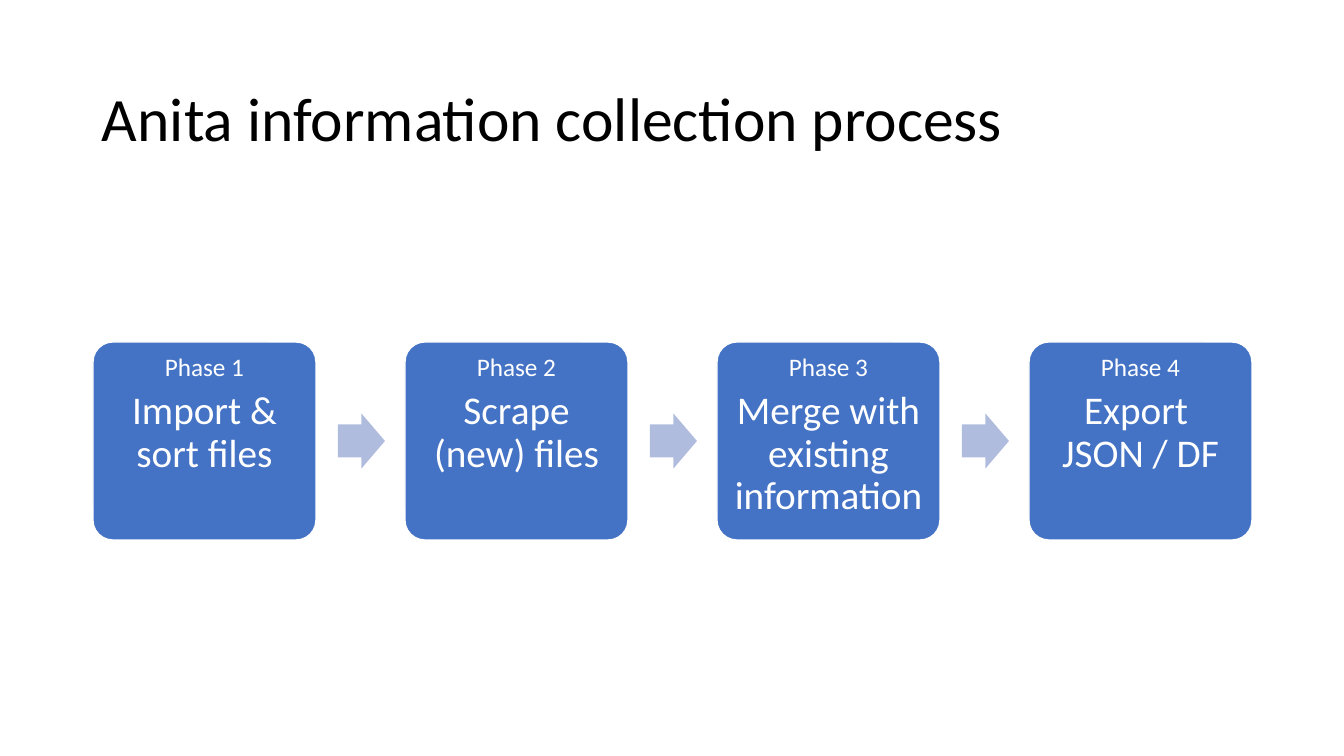
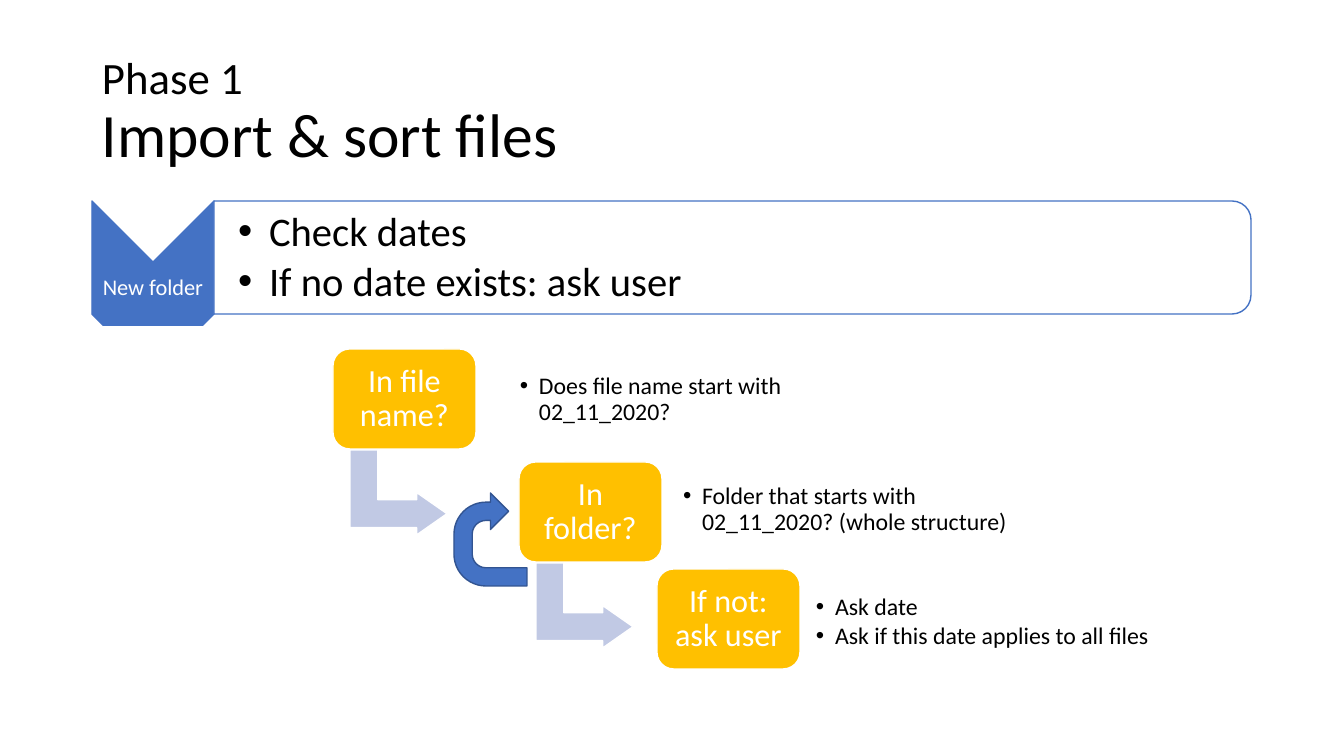
import itertools

import pptx
import pptx.dml.color
import pptx.enum.shapes
import pptx.enum.text
import pptx.oxml.ns
import pptx.util
from lxml import etree

RGBColor = pptx.dml.color.RGBColor
SHAPES = pptx.enum.shapes.MSO_SHAPE
ANCHOR = pptx.enum.text.MSO_ANCHOR
ALIGN = pptx.enum.text.PP_ALIGN

EMU_PER_PIXEL = 914400 / 100.8
FONT = "Calibri"
BLACK = RGBColor(0x00, 0x00, 0x00)
WHITE = RGBColor(0xFF, 0xFF, 0xFF)
BLUE = RGBColor(0x44, 0x72, 0xC4)
DARK_BLUE = RGBColor(0x32, 0x54, 0x91)
ARROW_BLUE = RGBColor(0xB0, 0xBC, 0xDE)
PALE_BLUE = RGBColor(0xC1, 0xC9, 0xE4)
YELLOW = RGBColor(0xFF, 0xC0, 0x00)

PHASES = ["Import & sort files", "Scrape (new) files",
          "Merge with existing information", "Export \vJSON / DF"]
STEPS = [
    ("In file name?", (333, 349), (511, 360, 385, 80), 9,
     ["Does file name start with 02_11_2020?"]),
    ("In folder?", (519, 462), (674, 470, 351, 80), 9,
     ["Folder that starts with 02_11_2020? (whole structure)"]),
    ("If not: ask user", (657, 569), (809, 582, 425, 80), 7,
     ["Ask date", "Ask if this date applies to all files"]),
]


def px(pixels):
    """Turn pixels into EMU."""
    return pptx.util.Emu(round(pixels * EMU_PER_PIXEL))


def write_text(shape, paragraphs, color=BLACK, align=ALIGN.LEFT, anchor=ANCHOR.MIDDLE,
               insets=(10, 5, 10, 5), spacing=0, bullet_indent=0):
    """Write (text, size, ...) paragraphs; several sizes apply line by line."""
    frame = shape.text_frame
    frame.word_wrap = True
    frame.vertical_anchor = anchor
    frame.margin_left, frame.margin_top, frame.margin_right, frame.margin_bottom = map(px, insets)
    for index, (text, *sizes) in enumerate(paragraphs):
        paragraph = frame.add_paragraph() if index else frame.paragraphs[0]
        paragraph.text = text
        paragraph.alignment = align
        paragraph.line_spacing = 0.9
        paragraph.space_after = pptx.util.Pt(round(sizes[0] * spacing, 1))
        for run, size in zip(paragraph.runs, itertools.cycle(sizes)):
            run.font.name = FONT
            run.font.size = pptx.util.Pt(size)
            run.font.color.rgb = color
        if bullet_indent:
            add_bullet(paragraph, bullet_indent)


def add_bullet(paragraph, indent):
    """Give a paragraph a round bullet with a hanging indent."""
    properties = paragraph._p.get_or_add_pPr()
    properties.set("marL", str(px(indent)))
    properties.set("indent", str(-px(indent)))
    font = etree.SubElement(properties, pptx.oxml.ns.qn("a:buFont"))
    font.set("typeface", "Arial")
    bullet = etree.SubElement(properties, pptx.oxml.ns.qn("a:buChar"))
    bullet.set("char", "•")


def add_text(slide, box, paragraphs, **text_format):
    """Add a text box in the given box."""
    write_text(slide.shapes.add_textbox(*map(px, box)), paragraphs, **text_format)


def add_shape(slide, kind, box, fill, line=None, rotation=0, adjustments=()):
    """Add a preset shape that covers the box once it is turned."""
    left, top, width, height = box
    if rotation in (90, 270):
        left, top = left + (width - height) / 2, top + (height - width) / 2
        width, height = height, width
    shape = slide.shapes.add_shape(kind, px(left), px(top), px(width), px(height))
    shape.shadow.inherit = False
    shape.rotation = rotation
    shape.fill.solid()
    shape.fill.fore_color.rgb = fill
    if line is None:
        shape.line.fill.background()
    else:
        shape.line.color.rgb = line
        shape.line.width = pptx.util.Pt(1)
    for index, value in enumerate(adjustments):
        shape.adjustments[index] = value
    return shape


def add_title(slide, top, text, *sizes):
    """Add the slide title at the given height."""
    add_text(slide, (92, top, 1159, 146), [(text, *sizes)])


def add_phase_row(slide, box):
    """Spread the phase cards over the box, with arrows between them."""
    left, top, width, height = box
    card_width = 223
    pitch = (width - card_width) / (len(PHASES) - 1)
    for index, name in enumerate(PHASES):
        card_left = left + index * pitch
        if index:
            add_shape(slide, SHAPES.RIGHT_ARROW,
                      (card_left - 67, top + (height - 55) / 2, 47, 55),
                      ARROW_BLUE, adjustments=(0.6, 0.5))
        card = add_shape(slide, SHAPES.ROUNDED_RECTANGLE, (card_left, top, card_width, height),
                         BLUE, WHITE, adjustments=(0.1,))
        write_text(card, [(f"Phase {index + 1}", 18), (name, 28)], color=WHITE,
                   align=ALIGN.CENTER, anchor=ANCHOR.TOP, insets=(7,) * 4, spacing=0.35)


def add_folder_band(slide, box):
    """Add the folder chevron and the outlined list to its right."""
    left, top, width, height = box
    tab = 122
    add_shape(slide, SHAPES.CHEVRON, (left, top, tab, 174), BLUE, BLUE, rotation=90)
    add_text(slide, (left, top + 61, tab, 52), [("New folder", 16)], color=WHITE,
             align=ALIGN.CENTER, insets=(1,) * 4, spacing=0.35)
    add_shape(slide, SHAPES.ROUND_2_SAME_RECTANGLE, (left + tab, top, width - tab, height),
              WHITE, BLUE, rotation=90)
    add_text(slide, (left + tab + 1, top + 6, width - tab - 5, height - 11),
             [("Check dates", 29), ("If no date exists: ask user", 29)],
             insets=(23, 2, 2, 2), spacing=0.15, bullet_indent=31)


def add_step_down(slide, box):
    """Add the descending date checks on a white panel."""
    add_shape(slide, SHAPES.RECTANGLE, box, WHITE)
    for index, (name, (left, top), detail_box, inset, details) in enumerate(STEPS):
        if index < len(STEPS) - 1:
            add_shape(slide, SHAPES.BENT_UP_ARROW, (left + 17, top + 101, 97, 85), PALE_BLUE,
                      WHITE, rotation=90, adjustments=(0.328, 0.25, 0.358))
        step = add_shape(slide, SHAPES.ROUNDED_RECTANGLE, (left, top, 143, 100),
                         YELLOW, WHITE, adjustments=(0.167,))
        write_text(step, [(name, 23)], color=WHITE, align=ALIGN.CENTER,
                   insets=(10,) * 4, spacing=0.35)
        add_text(slide, detail_box, [(detail, 17) for detail in details],
                 insets=(inset,) * 4, spacing=0.15, bullet_indent=19)
    add_shape(slide, SHAPES.U_TURN_ARROW, (454, 493, 73, 93), BLUE, DARK_BLUE, rotation=270)


def build_process_slide(slide):
    """Build the overview of the four phases."""
    add_title(slide, 48, "Anita information collection process", 44)
    add_phase_row(slide, (93, 342, 1159, 198))


def build_import_slide(slide):
    """Build the detail of the first phase."""
    add_title(slide, 40, f"Phase 1\v{PHASES[0]}", 32, 44)
    add_folder_band(slide, (92, 201, 1159, 113))
    add_step_down(slide, (67, 326, 1211, 370))


def main():
    """Build and save the presentation."""
    presentation = pptx.Presentation()
    presentation.slide_width = px(1344)
    presentation.slide_height = px(756)
    for build in (build_process_slide, build_import_slide):
        build(presentation.slides.add_slide(presentation.slide_layouts[6]))
    presentation.save("out.pptx")


main()
